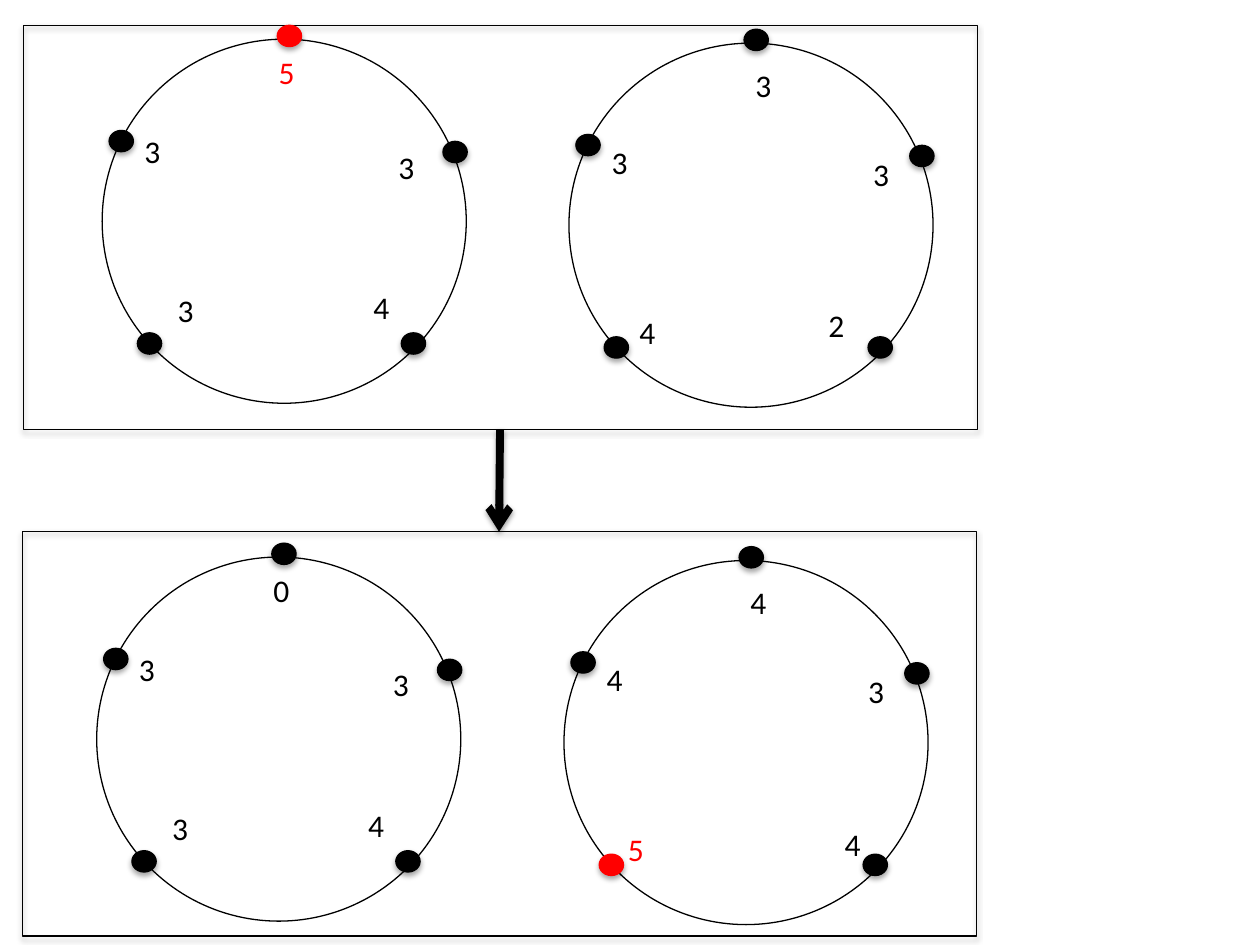
from lxml.etree import SubElement
from pptx import Presentation
from pptx.dml.color import RGBColor
from pptx.enum.shapes import MSO_CONNECTOR, MSO_SHAPE
from pptx.enum.text import MSO_AUTO_SIZE
from pptx.oxml.ns import qn
from pptx.util import Cm, Pt

BLACK = RGBColor(0x00, 0x00, 0x00)
RED = RGBColor(0xFF, 0x00, 0x00)

RING_SIZE = 7.34
DOT_WIDTH, DOT_HEIGHT = 0.49, 0.43
LABEL_WIDTH, LABEL_HEIGHT = 0.99, 1.02

PANELS = [(0.46, 10.72), (0.48, 0.51)]
DOT_OFFSETS = [(3.53, -0.28), (6.87, 2.06), (6.03, 5.92), (0.71, 5.92), (0.14, 1.84)]
LEFT_LABELS = [(3.31, 0.15), (5.72, 2.06), (5.22, 4.9), (1.27, 4.95), (0.6, 1.75)]
TOP_RIGHT_LABELS = [(3.51, 0.33), (5.88, 2.13), (4.98, 5.18), (1.17, 5.31), (0.61, 1.88)]
BOTTOM_RIGHT_LABELS = [(3.51, 0.33), (5.88, 2.13), (5.41, 5.21), (1.04, 5.31), (0.61, 1.88)]
RINGS = [
    (2.06, 0.79, "53433", LEFT_LABELS),
    (11.47, 0.87, "33243", TOP_RIGHT_LABELS),
    (1.95, 11.23, "03433", LEFT_LABELS),
    (11.37, 11.3, "43454", BOTTOM_RIGHT_LABELS),
]


def add_outlined(preset, left, top, width, height, color=BLACK, filled=False):
    shape = slide.shapes.add_shape(preset, Cm(left), Cm(top), Cm(width), Cm(height))
    shape.line.color.rgb = color
    shape.line.width = Pt(0.75)
    if filled:
        shape.fill.solid()
        shape.fill.fore_color.rgb = color
    else:
        shape.fill.background()
    shape.shadow.inherit = False
    return shape


def add_shadow(shape, distance, opacity):
    properties = shape.element.spPr
    effects = properties.find(qn("a:effectLst"))
    if effects is None:
        effects = SubElement(properties, qn("a:effectLst"))
    shadow = SubElement(effects, qn("a:outerShdw"), blurRad=str(Pt(3.1)),
                        dist=str(Pt(distance)), dir="5400000", rotWithShape="0")
    color = SubElement(shadow, qn("a:srgbClr"), val=str(BLACK))
    SubElement(color, qn("a:alpha"), val=str(opacity * 1000))


presentation = Presentation()
presentation.slide_width = Cm(25.4)
presentation.slide_height = Cm(19.05)
slide = presentation.slides.add_slide(presentation.slide_layouts[6])

for left, top in PANELS:
    panel = add_outlined(MSO_SHAPE.RECTANGLE, left, top, 19.23, 8.15)
    add_shadow(panel, 1.8, 35)

for ring_left, ring_top, values, label_offsets in RINGS:
    add_outlined(MSO_SHAPE.OVAL, ring_left, ring_top, RING_SIZE, RING_SIZE)
    for value, dot_offset, label_offset in zip(values, DOT_OFFSETS, label_offsets):
        color = RED if value == "5" else BLACK
        dot = add_outlined(MSO_SHAPE.OVAL, ring_left + dot_offset[0], ring_top + dot_offset[1],
                           DOT_WIDTH, DOT_HEIGHT, color, filled=True)
        add_shadow(dot, 1.8, 35)

        label = slide.shapes.add_textbox(Cm(ring_left + label_offset[0]),
                                         Cm(ring_top + label_offset[1]),
                                         Cm(LABEL_WIDTH), Cm(LABEL_HEIGHT))
        label.text_frame.word_wrap = True
        label.text_frame.auto_size = MSO_AUTO_SIZE.SHAPE_TO_FIT_TEXT
        run = label.text_frame.paragraphs[0].add_run()
        run.text = value
        run.font.name = "Calibri"
        run.font.size = Pt(18)
        run.font.color.rgb = color

arrow = slide.shapes.add_connector(MSO_CONNECTOR.STRAIGHT, Cm(10.08), Cm(8.66), Cm(10.06), Cm(10.72))
arrow.line.color.rgb = BLACK
arrow.line.width = Pt(4.5)
SubElement(arrow.element.spPr.find(qn("a:ln")), qn("a:tailEnd"), type="arrow")
add_shadow(arrow, 1.6, 38)

presentation.save("out.pptx")
